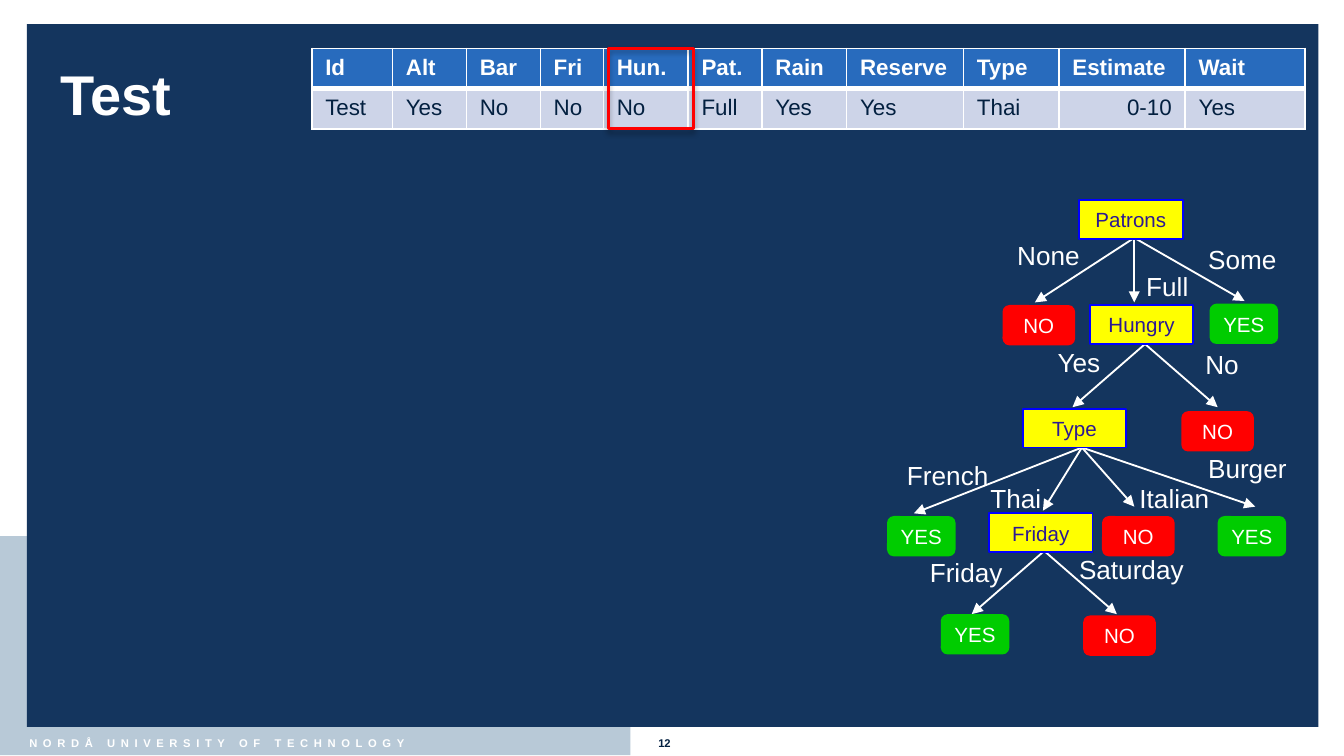
import pptx
import pptx.util
import pptx.dml.color
import pptx.enum.shapes
import pptx.enum.text
import pptx.oxml
import pptx.oxml.ns
from lxml import etree

Inches, Pt = pptx.util.Inches, pptx.util.Pt
qn = pptx.oxml.ns.qn
Shape = pptx.enum.shapes.MSO_SHAPE
Align = pptx.enum.text.PP_ALIGN
Anchor = pptx.enum.text.MSO_ANCHOR

# Content
TITLE = "Test"
FOOTER = "NORDÅ UNIVERSITY OF TECHNOLOGY"
PAGE = "12"
ROWS = [
    ["Id", "Alt", "Bar", "Fri", "Hun.", "Pat.", "Rain", "Reserve", "Type", "Estimate", "Wait"],
    ["Test", "Yes", "No", "No", "No", "Full", "Yes", "Yes", "Thai", "0-10", "Yes"],
]
COLS = [0.6, 0.55, 0.55, 0.47, 0.63, 0.55, 0.63, 0.87, 0.71, 0.94, 0.89]

# Tree: left and top of each test and leaf
TESTS = [("Patrons", 8.03, 1.49), ("Hungry", 8.11, 2.27),
         ("Type", 7.61, 3.04), ("Friday", 7.36, 3.82)]
LEAVES = [("NO", 7.46, 2.27), ("YES", 9, 2.26), ("NO", 8.79, 3.06),
          ("YES", 6.6, 3.84), ("NO", 8.2, 3.84), ("YES", 9.06, 3.84),
          ("YES", 7, 4.57), ("NO", 8.06, 4.58)]
# Start of each fan of arrows, then its tips
FANS = [((8.44, 1.77), [(7.7, 2.25), (8.44, 2.25), (9.26, 2.24)]),
        ((8.52, 2.56), [(7.98, 3.03), (9.06, 3.03)]),
        ((8.05, 3.33), [(6.8, 3.82), (7.76, 3.8), (8.44, 3.77), (9.34, 3.77)]),
        ((7.77, 4.1), [(7.23, 4.57), (8.31, 4.57)])]
# Branch labels: text, left, top, width
LABELS = [("None", 7.47, 1.73, 0.67), ("Full", 8.43, 1.96, 0.52), ("Some", 8.89, 1.76, 0.71),
          ("Yes", 7.77, 2.53, 0.52), ("No", 8.87, 2.54, 0.45),
          ("French", 6.65, 3.37, 0.81), ("Thai", 7.27, 3.54, 0.58),
          ("Italian", 8.38, 3.54, 0.72), ("Burger", 8.89, 3.32, 0.79),
          ("Friday", 6.82, 4.09, 0.75), ("Saturday", 7.93, 4.07, 0.99)]

HEX = {"white": "FFFFFF", "navy": "14355E", "mist": "B8C9D7", "ink": "032040",
       "head": "286BBD", "row": "CDD4E8", "test": "FFFF00", "edge": "0000FF",
       "word": "2D1993", "YES": "00CC00", "NO": "FF0000", "mark": "FF0000"}
WIDE = {"YES": 0.51, "NO": 0.54}


def color(name):
    return pptx.dml.color.RGBColor.from_string(HEX[name])


def style(para, size, name, bold=False, align=Align.LEFT):
    font = para.font
    font.name, font.size, font.bold = "Arial", Pt(size), bold
    font.color.rgb = color(name)
    para.alignment = align


def block(kind, box, fill=None, line=None, width=1):
    shape = shapes.add_shape(kind, *map(Inches, box))
    shape.shadow.inherit = False
    if fill:
        shape.fill.solid()
        shape.fill.fore_color.rgb = color(fill)
    else:
        shape.fill.background()
    if line:
        shape.line.color.rgb = color(line)
        shape.line.width = Pt(width)
    else:
        shape.line.fill.background()
    return shape


def node(kind, text, box, fill, ink, line=None):
    shape = block(kind, box, fill, line)
    frame = shape.text_frame
    frame.margin_left = frame.margin_right = frame.margin_top = frame.margin_bottom = 0
    frame.vertical_anchor = Anchor.MIDDLE
    frame.text = text
    style(frame.paragraphs[0], 11, ink, align=Align.CENTER)
    return shape


def label(text, box, size, ink, bold=False):
    frame = shapes.add_textbox(*map(Inches, box)).text_frame
    frame.word_wrap = False
    frame.text = text
    style(frame.paragraphs[0], size, ink, bold)
    return frame.paragraphs[0]


def arrow(start, end):
    line = shapes.add_connector(pptx.enum.shapes.MSO_CONNECTOR.STRAIGHT,
                                *map(Inches, start + end))
    line.line.color.rgb = color("white")
    line.line.width = Pt(1)
    props = line.element.spPr
    etree.SubElement(props.find(qn("a:ln")), qn("a:tailEnd"), type="triangle")
    etree.SubElement(props, qn("a:effectLst"))


def border(cell, side, width):
    line = etree.SubElement(cell._tc.get_or_add_tcPr(), qn("a:" + side), w=str(Pt(width)))
    fill = etree.SubElement(line, qn("a:solidFill"))
    etree.SubElement(fill, qn("a:srgbClr"), val=HEX["white"])


# Widescreen slide, 16 to 9
deck = pptx.Presentation()
deck.slide_width, deck.slide_height = Inches(10), Inches(10 * 9 / 16)
slide = deck.slides.add_slide(deck.slide_layouts[5])
shapes = slide.shapes

# Backdrop and footer
block(Shape.RECTANGLE, (0, 3.99, 4.69, 1.63), "mist")
block(Shape.RECTANGLE, (0.2, 0.18, 9.61, 5.23), "navy")
foot = label(FOOTER, (0.12, 5.43, 4, 0.19), 6, "white", True)
foot.runs[0]._r.get_or_add_rPr().set("spc", "300")
label(PAGE, (4.8, 5.43, 0.4, 0.19), 6, "ink", True)

# Title, brought in front of the backdrop
title = shapes.title
title.left, title.top, title.width, title.height = map(Inches, (0.35, 0.2, 9.29, 0.99))
title.text_frame.text = TITLE
title.text_frame.vertical_anchor = Anchor.MIDDLE
style(title.text_frame.paragraphs[0], 30, "white", True)
shapes.element.append(title.element)

# Decision tree
for start, tips in FANS:
    for tip in tips:
        arrow(start, tip)
for text, left, top in TESTS:
    node(Shape.RECTANGLE, text, (left, top, 0.77, 0.29), "test", "word", "edge")
for text, left, top in LEAVES:
    leaf = node(Shape.ROUNDED_RECTANGLE, text, (left, top, WIDE[text], 0.3), text, "white")
    leaf.adjustments[0] = 0.17
for text, *box in LABELS:
    label(text, (*box, 0.34), 14, "white")

# Table of the test case
LEFT, TOP, HIGH = 2.32, 0.36, 0.3
table = shapes.add_table(len(ROWS), len(COLS), Inches(LEFT), Inches(TOP),
                         Inches(sum(COLS)), Inches(HIGH * len(ROWS))).table
table.horz_banding = False
for col, width in zip(table.columns, COLS):
    col.width = Inches(width)
for r, row in enumerate(ROWS):
    table.rows[r].height = Inches(HIGH)
    for c, text in enumerate(row):
        cell = table.cell(r, c)
        for side, width in (("lnL", 1), ("lnR", 1), ("lnT", 3 if r else 1), ("lnB", 1 if r else 3)):
            border(cell, side, width)
        cell.fill.solid()
        cell.fill.fore_color.rgb = color("row" if r else "head")
        cell.text = text
        style(cell.text_frame.paragraphs[0], 12, "ink" if r else "white", r == 0,
              Align.RIGHT if text[0].isdigit() else Align.LEFT)

# Red frame around the hungry column
at = ROWS[0].index("Hun.")
frame = block(Shape.RECTANGLE, (LEFT + sum(COLS[:at]) + 0.04, TOP, COLS[at], HIGH * len(ROWS)),
              line="mark", width=1.5)
shade = etree.SubElement(frame.element.spPr.find(qn("a:effectLst")), qn("a:outerShdw"),
                         blurRad=str(Pt(3.1)), dist=str(Pt(1.8)), dir="5400000", rotWithShape="0")
black = etree.SubElement(shade, qn("a:srgbClr"), val="000000")
etree.SubElement(black, qn("a:alpha"), val="35000")

deck.save("out.pptx")
